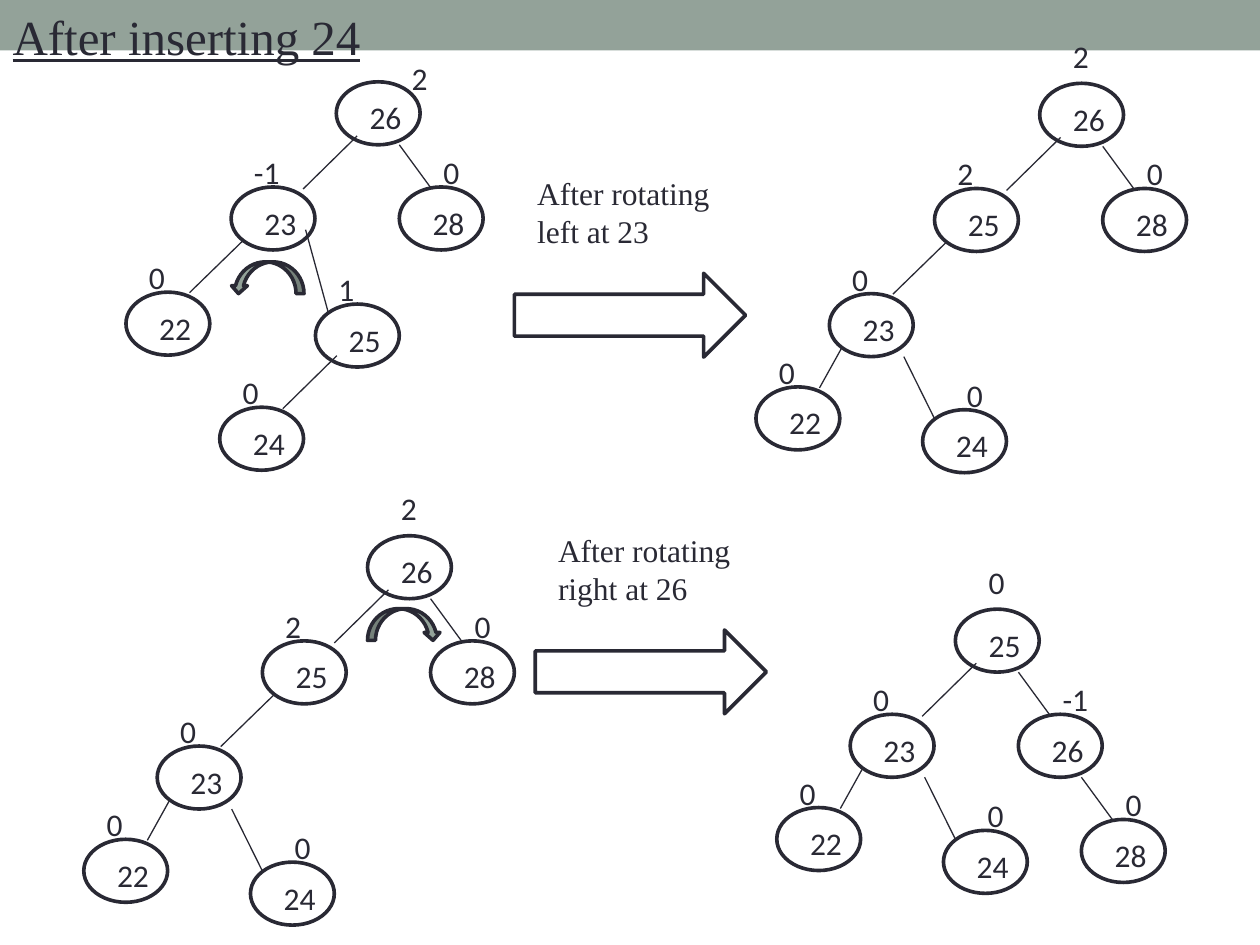
from dataclasses import dataclass

from lxml import etree
from pptx import Presentation
from pptx import util as u
from pptx.dml.color import RGBColor
from pptx.enum import shapes, text
from pptx.oxml import ns


@dataclass(frozen=True)
class Theme:
    ink: RGBColor = RGBColor(0x29, 0x29, 0x34)
    accent: RGBColor = RGBColor(0x93, 0xA2, 0x99)
    paper: RGBColor = RGBColor(0xFF, 0xFF, 0xFF)
    serif: str = "Times New Roman"
    sans: str = "Calibri"
    heading_size: float = 28
    label_size: float = 18
    outline: float = 2.08
    edge: float = 0.75


@dataclass(frozen=True)
class Branch:
    """Offsets in cm from the parent's corner; balance is from the child's corner."""
    step: tuple
    start: tuple
    end: tuple
    balance: tuple = (0.21, -0.81)


@dataclass(frozen=True)
class Node:
    key: str
    balance: str
    children: tuple = ()  # pairs of branch and node


THEME = Theme()
NODE_SIZE = (1.69, 1.27)
OUTER_BALANCE = (0.64, -0.81)
ROOT_BALANCE = (0.42, -1.06)

ROOT_LEFT = Branch((-2.12, 2.12), (0.42, 1.09), (-0.67, 2.16))
LEFT = Branch((-2.12, 2.12), (0.25, 1.07), (-0.84, 2.13))
NEAR_LEFT = Branch((-1.48, 1.88), (0.25, 1.09), (-0.2, 1.9))
INNER_LEFT = Branch((-1.93, 2.08), (0.43, 1.04), (-0.66, 2.11))
RIGHT = Branch((1.27, 2.12), (1.27, 1.27), (1.9, 2.13), OUTER_BALANCE)
FAR_RIGHT = Branch((1.88, 2.34), (1.5, 1.27), (2.13, 2.54), OUTER_BALANCE)
INNER_RIGHT = Branch((1.7, 2.36), (1.5, 0.86), (1.96, 2.54))


def lengths(*values):
    return [u.Cm(value) for value in values]


def write(paragraph, words, font_name, size, underline=None):
    run = paragraph.add_run()
    run.text = words
    run.font.name = font_name
    run.font.size = u.Pt(size)
    run.font.color.rgb = THEME.ink
    run.font.underline = underline


def add_label(slide, box, words, font_name):
    label = slide.shapes.add_textbox(*lengths(*box))
    label.text_frame.word_wrap = True
    write(label.text_frame.paragraphs[0], words, font_name, THEME.label_size)


def add_outlined(slide, kind, box, fill=None):
    shape = slide.shapes.add_shape(kind, *lengths(*box))
    shape.shadow.inherit = False
    if fill is None:
        shape.fill.background()
    else:
        shape.fill.solid()
        shape.fill.fore_color.rgb = fill
    shape.line.color.rgb = THEME.ink
    shape.line.width = u.Pt(THEME.outline)
    return shape


def add_edge(slide, start, end):
    edge = slide.shapes.add_connector(
        shapes.MSO_CONNECTOR.STRAIGHT, *lengths(*start, *end))
    edge.line.color.rgb = THEME.ink
    edge.line.width = u.Pt(THEME.edge)
    etree.SubElement(edge._element.spPr, ns.qn("a:effectLst"))


def add_header(slide, width, height):
    # Coloured band behind everything
    band = slide.shapes.add_shape(
        shapes.MSO_SHAPE.RECTANGLE, 0, 0, width, u.Cm(1.02))
    band.shadow.inherit = False
    band.fill.solid()
    band.fill.fore_color.rgb = THEME.accent
    band.line.fill.background()
    slide.shapes._spTree.insert(2, band._element)

    # Heading in the body placeholder, without a bullet
    title, body = slide.placeholders
    title._element.getparent().remove(title._element)
    body.left, body.top, body.width, body.height = 0, 0, width, height
    frame = body.text_frame
    frame.auto_size = text.MSO_AUTO_SIZE.NONE
    frame.vertical_anchor = text.MSO_ANCHOR.TOP
    paragraph = frame.paragraphs[0]
    properties = paragraph._p.get_or_add_pPr()
    properties.set("marL", str(u.Cm(0.51)))
    properties.set("indent", str(-u.Cm(0.51)))
    etree.SubElement(properties, ns.qn("a:buNone"))
    paragraph.space_before = u.Pt(0)
    write(paragraph, "After inserting 24", THEME.serif, THEME.heading_size, True)


def add_tree(slide, left, top, node, balance=ROOT_BALANCE):
    """Place a node at the given corner, then its subtrees below it."""
    add_outlined(slide, shapes.MSO_SHAPE.OVAL, (left, top, *NODE_SIZE), THEME.paper)
    add_label(slide, (left + 0.42, top + 0.21, 1.48, 1.02), node.key, THEME.sans)
    add_label(slide, (left + balance[0], top + balance[1], 1.06, 1.02),
              node.balance, THEME.sans)
    for branch, child in node.children:
        add_tree(slide, left + branch.step[0], top + branch.step[1],
                 child, branch.balance)
        add_edge(slide, (left + branch.start[0], top + branch.start[1]),
                 (left + branch.end[0], top + branch.end[1]))


def add_transition(slide, left, top, caption):
    """Caption above a block arrow."""
    add_outlined(slide, shapes.MSO_SHAPE.RIGHT_ARROW, (left, top + 2.12, 4.66, 1.69))
    add_label(slide, (left + 0.21, top, 4.02, 1.8), caption, THEME.serif)


def add_rotation(slide, left, top, to_left=False):
    """Curved arrow showing which way a node turns."""
    arrow = add_outlined(slide, shapes.MSO_SHAPE.CURVED_DOWN_ARROW,
                         (left, top, 1.48, 0.64), THEME.accent)
    if to_left:
        arrow._element.spPr.xfrm.set("flipH", "1")


def main():
    presentation = Presentation()
    presentation.slide_width, presentation.slide_height = lengths(25.4, 19.05)
    slide = presentation.slides.add_slide(presentation.slide_layouts[1])
    add_header(slide, presentation.slide_width, presentation.slide_height)

    # Subtrees shared by the stages
    leaf_22, leaf_24, leaf_28 = (Node(key, "0") for key in ("22", "24", "28"))
    node_23 = Node("23", "0", ((NEAR_LEFT, leaf_22), (FAR_RIGHT, leaf_24)))

    unbalanced = Node("26", "2", (
        (ROOT_LEFT, Node("23", "-1", (
            (LEFT, leaf_22),
            (INNER_RIGHT, Node("25", "1", ((INNER_LEFT, leaf_24),)))))),
        (RIGHT, leaf_28)))
    left_rotated = Node("26", "2", (
        (ROOT_LEFT, Node("25", "2", ((LEFT, node_23),))),
        (RIGHT, leaf_28)))
    balanced = Node("25", "0", (
        (ROOT_LEFT, node_23),
        (RIGHT, Node("26", "-1", ((RIGHT, leaf_28),)))))

    # Upper row: rotate left at 23
    add_tree(slide, 6.78, 1.65, unbalanced, (1.27, -0.58))
    add_rotation(slide, 4.65, 5.28, to_left=True)
    add_transition(slide, 10.37, 3.39, "After rotating left at 23")
    add_tree(slide, 20.96, 1.68, left_rotated)

    # Lower row: rotate right at 26
    add_tree(slide, 7.41, 10.8, left_rotated)
    add_rotation(slide, 7.41, 12.27)
    add_transition(slide, 10.79, 10.58, "After rotating right at 26")
    add_tree(slide, 19.26, 12.28, balanced)

    presentation.save("out.pptx")


if __name__ == "__main__":
    main()
